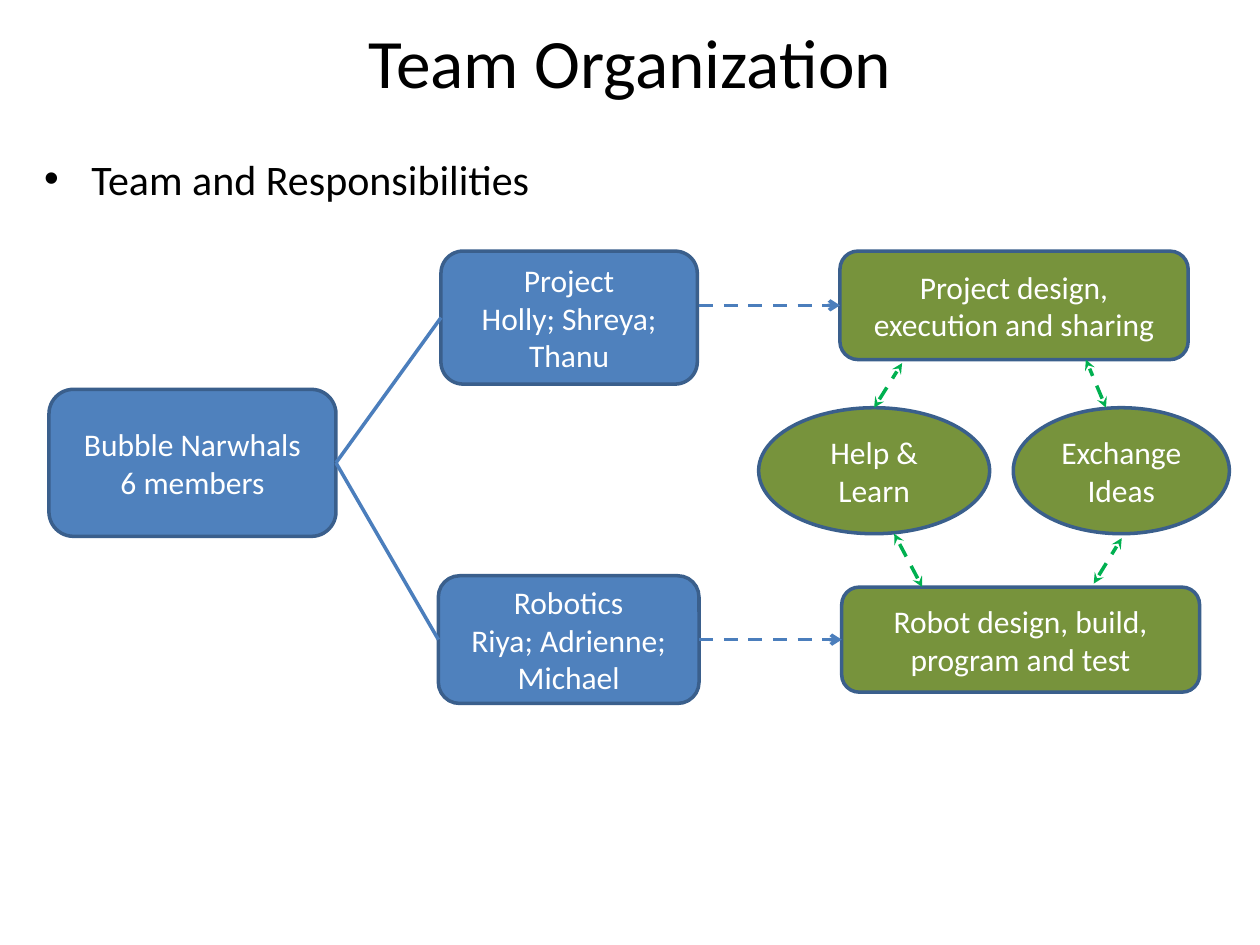
from lxml import etree
from pptx import Presentation
from pptx.dml.color import RGBColor
from pptx.enum.dml import MSO_LINE
from pptx.enum.shapes import MSO_CONNECTOR, MSO_SHAPE
from pptx.enum.text import MSO_ANCHOR, MSO_AUTO_SIZE, PP_ALIGN
from pptx.oxml.ns import qn
from pptx.util import Pt

BLACK = RGBColor(0x00, 0x00, 0x00)
WHITE = RGBColor(0xFF, 0xFF, 0xFF)
BLUE = RGBColor(0x4F, 0x81, 0xBD)
OLIVE = RGBColor(0x77, 0x93, 0x3C)
OUTLINE = RGBColor(0x3A, 0x5F, 0x8C)
LINK_BLUE = RGBColor(0x4B, 0x7E, 0xBC)
GREEN = RGBColor(0x00, 0xB0, 0x50)
ROUNDED = MSO_SHAPE.ROUNDED_RECTANGLE
OVAL = MSO_SHAPE.OVAL
STRAIGHT = MSO_CONNECTOR.STRAIGHT
DASH = MSO_LINE.DASH
MIDDLE = MSO_ANCHOR.MIDDLE
CENTER = PP_ALIGN.CENTER
NO_AUTOFIT = MSO_AUTO_SIZE.NONE
LEFT_SIDE, RIGHT_SIDE = 1, 3
FONT = "Calibri"


def style_paragraph(para, size, color):
    para.font.name = FONT
    para.font.size = Pt(size)
    para.font.color.rgb = color


def place(shape, left, top, width, height):
    shape.left, shape.top = Pt(left), Pt(top)
    shape.width, shape.height = Pt(width), Pt(height)


def fill_placeholder(placeholder, text, size, bounds):
    place(placeholder, *bounds)
    frame = placeholder.text_frame
    frame.auto_size = NO_AUTOFIT
    frame.text = text
    para = frame.paragraphs[0]
    para.space_before = Pt(0)
    style_paragraph(para, size, BLACK)


def add_node(page, kind, lines, fill, left, top, width, height):
    node = page.shapes.add_shape(kind, Pt(left), Pt(top), Pt(width), Pt(height))
    node.shadow.inherit = False
    node.fill.solid()
    node.fill.fore_color.rgb = fill
    node.line.color.rgb = OUTLINE
    node.line.width = Pt(2)
    frame = node.text_frame
    frame.word_wrap = True
    frame.vertical_anchor = MIDDLE
    frame.text = "\n".join(lines)
    for para in frame.paragraphs:
        para.alignment = CENTER
        style_paragraph(para, 18, WHITE)
    return node


def add_link(page, color, start=(0, 0), end=(0, 0), dashed=False, head=None, tail=None):
    link = page.shapes.add_connector(STRAIGHT, *(Pt(value) for value in (*start, *end)))
    link.line.color.rgb = color
    link.line.width = Pt(2)
    if dashed:
        link.line.dash_style = DASH
    outline = link.line._get_or_add_ln()
    for tag, arrow in (("a:headEnd", head), ("a:tailEnd", tail)):
        if arrow:
            etree.SubElement(outline, qn(tag), type=arrow)
    etree.SubElement(link._element.spPr, qn("a:effectLst"))
    return link


def main():
    deck = Presentation()
    deck.slide_width, deck.slide_height = Pt(720), Pt(540)
    page = deck.slides.add_slide(deck.slide_layouts[1])
    title, body = page.placeholders
    fill_placeholder(title, "Team Organization", 39.6, (36, 21.5, 648, 27))
    title.text_frame.vertical_anchor = MIDDLE
    fill_placeholder(body, "Team and Responsibilities", 24, (18, 84, 690, 398))

    team = add_node(page, ROUNDED, ["Bubble Narwhals", "6 members"], BLUE,
                    28, 222.5, 164, 84)
    robotics = add_node(page, ROUNDED, ["Robotics", "Riya; Adrienne; Michael"], BLUE,
                        250.5, 329, 149, 73)
    project = add_node(page, ROUNDED, ["Project", "Holly; Shreya; Thanu"], BLUE,
                       252, 143.5, 146.5, 76)
    for group in (project, robotics):
        branch = add_link(page, LINK_BLUE)
        branch.begin_connect(team, RIGHT_SIDE)
        branch.end_connect(group, LEFT_SIDE)

    project_tasks = add_node(page, ROUNDED, ["Project design, execution and sharing"], OLIVE,
                             480, 143.5, 199, 62)
    robot_tasks = add_node(page, ROUNDED, ["Robot design, build, program and test"], OLIVE,
                           481, 335.5, 204.5, 60)
    add_node(page, OVAL, ["Help & Learn"], OLIVE, 433.5, 233, 132, 72)
    add_node(page, OVAL, ["Exchange Ideas"], OLIVE, 579, 233, 123.5, 72)

    robotics_arrow = add_link(page, LINK_BLUE, dashed=True, tail="arrow")
    robotics_arrow.begin_connect(robotics, RIGHT_SIDE)
    robotics_arrow.end_connect(robot_tasks, LEFT_SIDE)
    project_arrow = add_link(page, LINK_BLUE, (399.5, 174.5), (480, 174.5),
                             dashed=True, tail="arrow")
    project_arrow.end_connect(project_tasks, LEFT_SIDE)

    exchanges = [
        ((499.5, 233), (515.5, 207.5)),
        ((632, 233), (620.5, 205.5)),
        ((527, 335.5), (511, 305)),
        ((625, 333.5), (641, 307.5)),
    ]
    for start, end in exchanges:
        add_link(page, GREEN, start, end, dashed=True, head="stealth", tail="stealth")

    deck.save("out.pptx")


if __name__ == "__main__":
    main()
